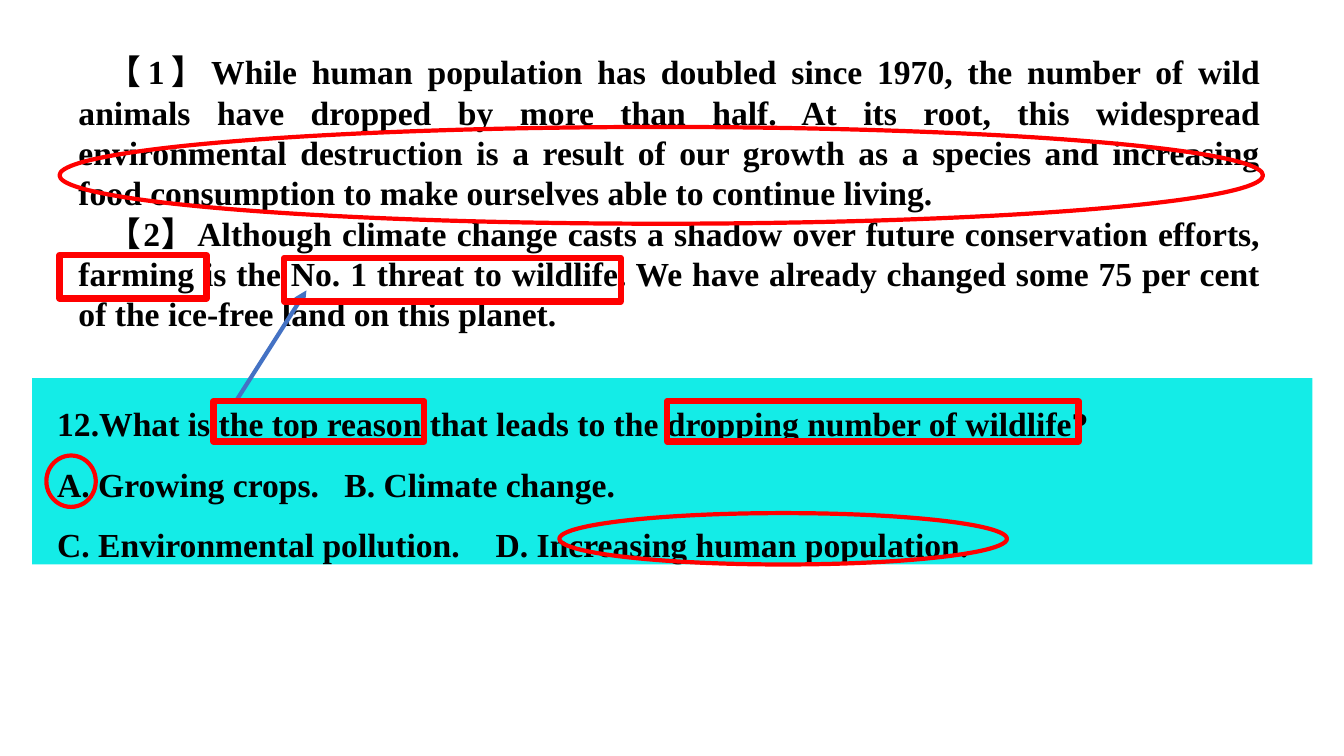
from lxml import etree
from pptx import Presentation
from pptx.dml.color import RGBColor
from pptx.enum.shapes import MSO_CONNECTOR, MSO_SHAPE
from pptx.enum.text import MSO_ANCHOR, PP_ALIGN
from pptx.oxml.ns import qn
from pptx.util import Pt

RECT, OVAL = MSO_SHAPE.RECTANGLE, MSO_SHAPE.OVAL
LINE = MSO_CONNECTOR.STRAIGHT
LEFT, JUSTIFY = PP_ALIGN.LEFT, PP_ALIGN.JUSTIFY
TOP = MSO_ANCHOR.TOP

FONT = "Times New Roman"
COLORS = {"ink": "000000", "panel": "14ECE7", "mark": "FF0000", "arrow": "4472C4"}

PASSAGE = [
    "【1】While human population has doubled since 1970, the number of wild "
    "animals have dropped by more than half. At its root, this widespread "
    "environmental destruction is a result of our growth as a species and "
    "increasing food consumption to make ourselves able to continue living.",
    "【2】Although climate change casts a shadow over future conservation "
    "efforts, farming is the No. 1 threat to wildlife. We have already changed "
    "some 75 per cent of the ice-free land on this planet.",
]
QUESTION = [
    "12.What is the top reason that leads to the dropping number of wildlife?",
    "A. Growing crops.\tB. Climate change.",
    "C. Environmental pollution.\tD. Increasing human population.",
]
TABS = [None, 341.5, 407.5]  # where the second answer of each line starts

# Left, top, width, height
BOXES = [
    (152.6, 286.6, 150.5, 28.8),  # the top reason
    (203, 184.3, 240.5, 31),      # is the No. 1 threat to
    (42.5, 182.2, 105.1, 31),     # efforts
    (476.6, 286.6, 293.8, 28.8),  # dropping number of wildlife
]
RINGS = [
    (33.1, 325.4, 35.3, 36.7),    # answer A
    (42.5, 90.7, 859.7, 69.1),    # growth and food consumption
    (399.6, 366.5, 319.7, 36.7),  # answer D
]


def color(name):
    return RGBColor.from_string(COLORS[name])


def points(values):
    return [Pt(v) for v in values]


def write(frame, lines, align, margin, indent, spacing=1.0):
    frame.word_wrap = True
    frame.vertical_anchor = TOP
    frame.text = "\n".join(lines)
    for para in frame.paragraphs:
        para.alignment = align
        para.line_spacing = spacing
        props = para._p.get_or_add_pPr()
        props.set("marL", str(Pt(margin)))
        props.set("indent", str(Pt(indent)))
        for run in para.runs:
            run.font.name = FONT
            run.font.size = Pt(24)
            run.font.bold = True
            run.font.color.rgb = color("ink")


def add_tab(para, pos):
    stops = etree.SubElement(para._p.get_or_add_pPr(), qn("a:tabLst"))
    etree.SubElement(stops, qn("a:tab"), pos=str(Pt(pos)), algn="l")


def add_panel(slide, place):
    panel = slide.shapes.add_shape(RECT, *points(place))
    panel.shadow.inherit = False
    panel.fill.solid()
    panel.fill.fore_color.rgb = color("panel")
    panel.line.fill.background()
    return panel


def add_mark(slide, kind, place, width):
    mark = slide.shapes.add_shape(kind, *points(place))
    mark.shadow.inherit = False
    mark.fill.background()
    mark.line.color.rgb = color("mark")
    mark.line.width = Pt(width)


def add_arrow(slide, ends):
    arrow = slide.shapes.add_connector(LINE, *points(ends))
    arrow.line.color.rgb = color("arrow")
    arrow.line.width = Pt(3)
    etree.SubElement(arrow.line._get_or_add_ln(), qn("a:tailEnd"), type="triangle")
    etree.SubElement(arrow._element.spPr, qn("a:effectLst"))


def main():
    deck = Presentation()
    deck.slide_width, deck.slide_height = Pt(960), Pt(540)
    slide = deck.slides.add_slide(deck.slide_layouts[6])

    # Reading passage
    text = slide.shapes.add_textbox(*points((38.2, 33.1, 869, 211)))
    write(text.text_frame, PASSAGE, JUSTIFY, 10.8, 20.9)

    # Question with its answers
    panel = add_panel(slide, (23, 270, 914.4, 133.2))
    write(panel.text_frame, QUESTION, LEFT, 0, 10.8, 1.5)
    for para, pos in zip(panel.text_frame.paragraphs, TABS):
        if pos:
            add_tab(para, pos)

    # Arrow from the question to its clue
    add_arrow(slide, (168.5, 286.6, 218.9, 207.4))

    # Red marks
    for place in BOXES:
        add_mark(slide, RECT, place, 4.5)
    for place in RINGS:
        add_mark(slide, OVAL, place, 3)

    deck.save("out.pptx")


if __name__ == "__main__":
    main()
